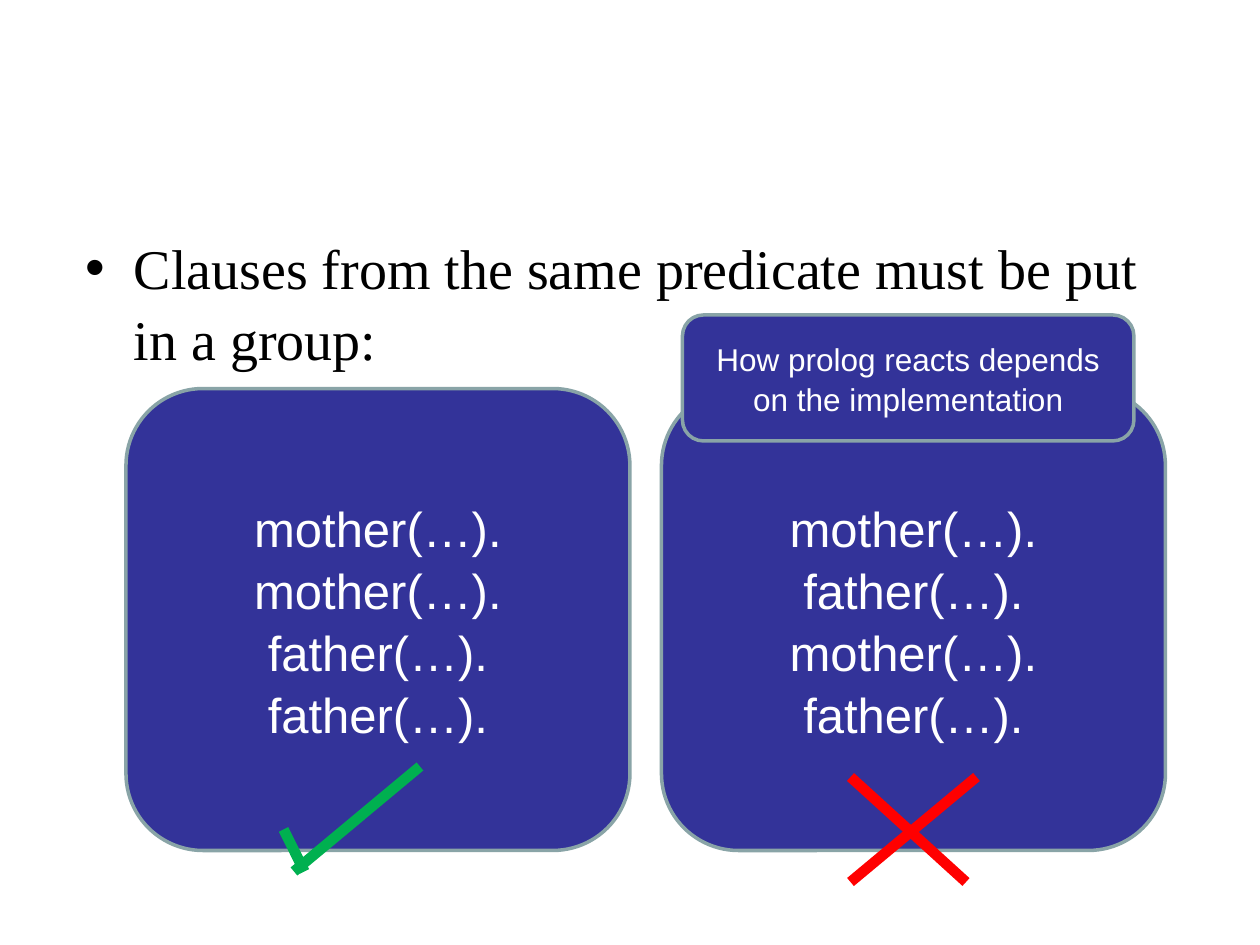
"""Build the slide on grouping Prolog clauses by predicate."""
from lxml import etree
from pptx import Presentation, util as u
from pptx.dml.color import RGBColor
from pptx.enum import shapes, text
from pptx.oxml.ns import qn

COLORS = {"ink": "000000", "white": "FFFFFF", "panel": "333399",
          "border": "89A4A7", "right": "00B050", "wrong": "FF0000"}
RULE = "Clauses from the same predicate must be put in a group:"
NOTE = "How prolog reacts depends on the implementation"
MOTHER, FATHER = "mother(…).", "father(…)."
EXAMPLES = [
    {"clauses": [MOTHER, MOTHER, FATHER, FATHER], "column": 12, "mark": "right",
     "strokes": [(27, 79, 29, 83), (28, 83, 40, 73)]},
    {"clauses": [MOTHER, FATHER, MOTHER, FATHER], "column": 63, "mark": "wrong",
     "strokes": [(81, 84, 93, 74), (81, 74, 92, 84)]},
]
COLUMNS, ROWS = 120, 90
PANEL_TOP, PANEL_WIDTH, PANEL_HEIGHT = 37, 48, 44
RULE_AREA = (7, 21, 108, 59.4)
NOTE_AREA = (65, 30, 43, 12)

prs = Presentation()
prs.slide_width, prs.slide_height = u.Inches(10), u.Inches(7.5)
slide = prs.slides.add_slide(prs.slide_layouts[6])


def place(*cells):
    """Turn alternating column and row counts into slide lengths."""
    units = (prs.slide_width / COLUMNS, prs.slide_height / ROWS)
    return [round(cell * units[i % 2]) for i, cell in enumerate(cells)]


def rgb(name):
    """Look up a palette colour."""
    return RGBColor.from_string(COLORS[name])


def write(frame, lines, size, font="Arial", color="white", align=text.PP_ALIGN.CENTER,
          anchor=text.MSO_ANCHOR.MIDDLE, bullet=None, top=0.05):
    """Fill a text frame with one paragraph per line."""
    frame.word_wrap = True
    frame.vertical_anchor = anchor
    frame.margin_top = u.Inches(top)
    for i, line in enumerate(lines):
        paragraph = frame.add_paragraph() if i else frame.paragraphs[0]
        paragraph.alignment = align
        paragraph.line_spacing = 1.05
        if bullet:
            props = paragraph._p.get_or_add_pPr()
            indent = u.Inches(0.38)
            props.set("marL", str(indent))
            props.set("indent", str(-indent))
            etree.SubElement(props, qn("a:buFont")).set("typeface", "Arial")
            etree.SubElement(props, qn("a:buChar")).set("char", bullet)
        run = paragraph.add_run()
        run.text = line
        run.font.size, run.font.name = u.Pt(size), font
        run.font.color.rgb = rgb(color)


def add_panel(area, lines, size):
    """Add a rounded panel with centred lines."""
    panel = slide.shapes.add_shape(shapes.MSO_SHAPE.ROUNDED_RECTANGLE, *place(*area))
    panel.shadow.inherit = False
    panel.fill.solid()
    panel.fill.fore_color.rgb = rgb("panel")
    panel.line.color.rgb = rgb("border")
    panel.line.width = u.Pt(2)
    write(panel.text_frame, lines, size)


def add_stroke(ends, color):
    """Add one thick stroke of a tick or cross."""
    stroke = slide.shapes.add_connector(shapes.MSO_CONNECTOR.STRAIGHT, *place(*ends))
    stroke.line.color.rgb = rgb(color)
    stroke.line.width = u.Pt(6)
    etree.SubElement(stroke._element.spPr, qn("a:effectLst"))


rule = slide.shapes.add_textbox(*place(*RULE_AREA))
write(rule.text_frame, [RULE], 32, font="Times New Roman", color="ink",
      align=text.PP_ALIGN.LEFT, anchor=text.MSO_ANCHOR.TOP, bullet="•", top=0.08)

for example in EXAMPLES:
    add_panel((example["column"], PANEL_TOP, PANEL_WIDTH, PANEL_HEIGHT),
              example["clauses"], 28)
    for ends in example["strokes"]:
        add_stroke(ends, example["mark"])

add_panel(NOTE_AREA, [NOTE], 18)

prs.save("out.pptx")
